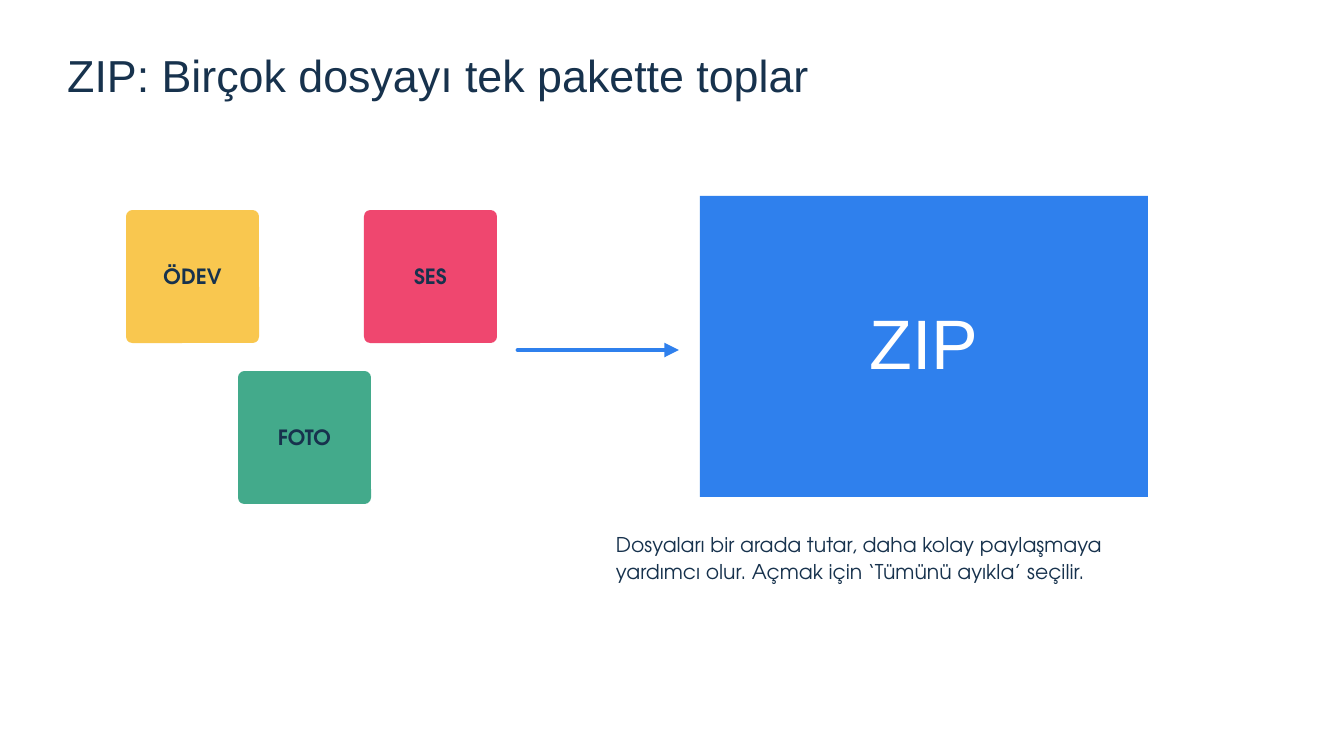
import pptx
import pptx.util
from pptx.dml.color import RGBColor
from pptx.enum.shapes import MSO_CONNECTOR, MSO_SHAPE
from pptx.enum.text import MSO_ANCHOR, PP_ALIGN
from pptx.oxml.ns import qn
from lxml import etree

PX = 9525
NAVY = RGBColor(0x17, 0x32, 0x4D)
BLUE = RGBColor(0x2F, 0x80, 0xED)
YELLOW = RGBColor(0xF9, 0xC7, 0x4F)
GREEN = RGBColor(0x43, 0xAA, 0x8B)
PINK = RGBColor(0xEF, 0x47, 0x6F)
WHITE = RGBColor(0xFF, 0xFF, 0xFF)
HEAD_FONT, BODY_FONT = "Arial", "TeX Gyre Adventor"

TITLE = "ZIP: Birçok dosyayı tek pakette toplar"
CAPTION = ("Dosyaları bir arada tutar, daha kolay paylaşmaya yardımcı olur. "
           "Açmak için ‘Tümünü ayıkla’ seçilir.")
FILES = [("ÖDEV", 180, 300, YELLOW), ("FOTO", 340, 530, GREEN), ("SES", 520, 300, PINK)]
FILE_SIDE, FILE_RADIUS = 190, 9
ARCHIVE = ("ZIP", 1000, 280, 640, 430)
ARROW = (740, 500, 970, 500)


def px(*values):
    return [pptx.util.Emu(v * PX) for v in values]


def write(sp, text, font, size, leading, color, bold=False,
          align=PP_ALIGN.LEFT, anchor=MSO_ANCHOR.TOP, insets=(0, 0, 0, 0)):
    """Put one styled paragraph in sp; insets run left, top, right, bottom."""
    tf = sp.text_frame
    tf.word_wrap = True
    tf.vertical_anchor = anchor
    tf.margin_left, tf.margin_top, tf.margin_right, tf.margin_bottom = px(*insets)
    p = tf.paragraphs[0]
    p.alignment = align
    p.line_spacing = pptx.util.Pt(leading)
    r = p.add_run()
    r.text = text
    r.font.name, r.font.size, r.font.bold = font, pptx.util.Pt(size), bold
    r.font.color.rgb = color


def add_block(slide, preset, box, fill):
    sp = slide.shapes.add_shape(preset, *px(*box))
    sp.shadow.inherit = False
    sp.fill.solid()
    sp.fill.fore_color.rgb = fill
    sp.line.fill.background()
    return sp


def add_arrow(slide, ends):
    line = slide.shapes.add_connector(MSO_CONNECTOR.STRAIGHT, *px(*ends))
    line.line.color.rgb = BLUE
    line.line.width = pptx.util.Pt(5.25)
    ln = line.line._get_or_add_ln()
    ln.set("cap", "rnd")
    etree.SubElement(ln, qn("a:tailEnd"), type="triangle")
    etree.SubElement(line._element.spPr, qn("a:effectLst"))


def main():
    prs = pptx.Presentation()
    prs.slide_width, prs.slide_height = px(1920, 1080)
    slide = prs.slides.add_slide(prs.slide_layouts[6])

    write(slide.shapes.add_textbox(*px(96, 78, 1600, 68)),
          TITLE, HEAD_FONT, 48, 50.4, NAVY)

    for label, left, top, color in FILES:
        sp = add_block(slide, MSO_SHAPE.ROUNDED_RECTANGLE,
                       (left, top, FILE_SIDE, FILE_SIDE), color)
        sp.adjustments[0] = FILE_RADIUS / FILE_SIDE
        write(sp, label, BODY_FONT, 22.5, 24.8, NAVY, bold=True,
              align=PP_ALIGN.CENTER, anchor=MSO_ANCHOR.MIDDLE, insets=(6, 8, 6, 6))

    add_arrow(slide, ARROW)

    name, *box = ARCHIVE
    write(add_block(slide, MSO_SHAPE.RECTANGLE, box, BLUE), name, HEAD_FONT, 75, 105,
          WHITE, align=PP_ALIGN.CENTER, insets=(0, 128, 0, 0))

    write(slide.shapes.add_textbox(*px(880, 756, 800, 78)),
          CAPTION, BODY_FONT, 21.8, 29.4, NAVY)

    prs.save("out.pptx")


if __name__ == "__main__":
    main()
